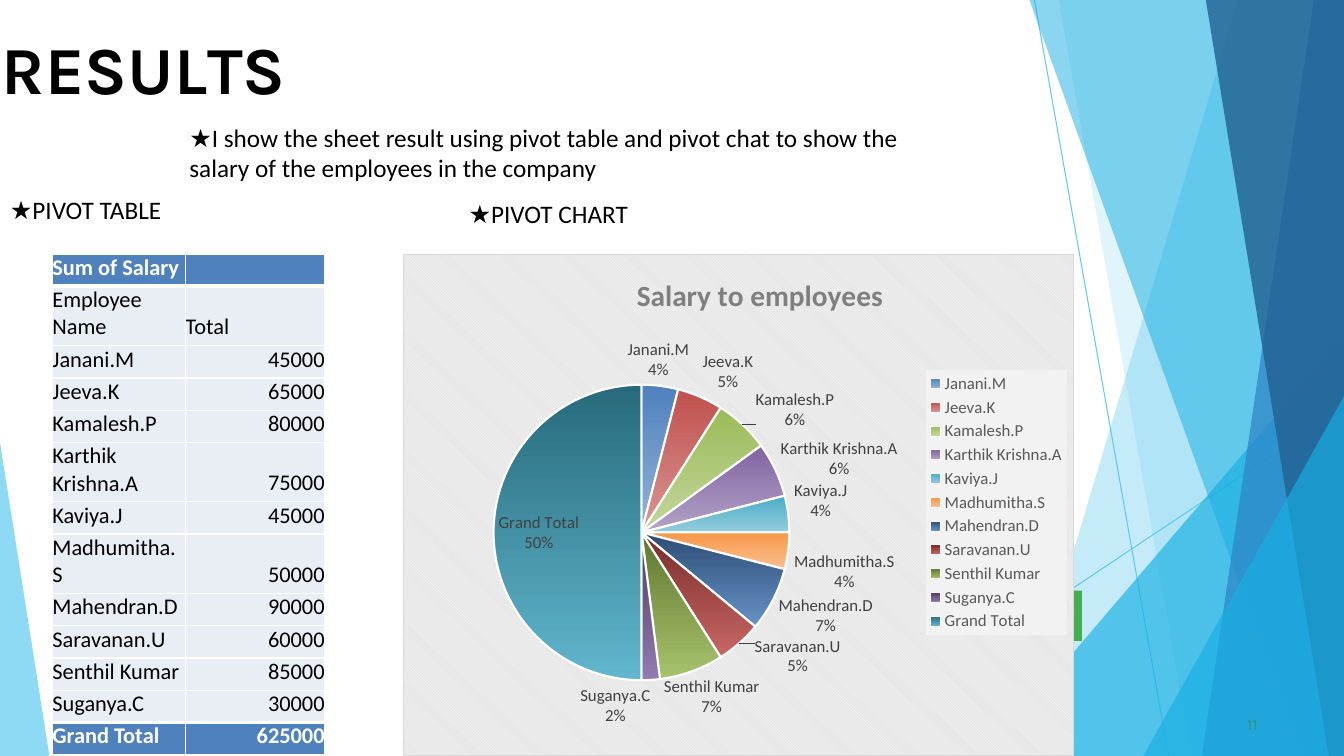
from lxml import etree
from pptx import Presentation
from pptx.chart.data import CategoryChartData
from pptx.dml.color import RGBColor
from pptx.enum import chart as ch, shapes, text
from pptx.oxml import parse_xml
from pptx.oxml.ns import nsdecls, qn
from pptx.util import Inches, Pt

HEX = {"sky": "5FCAEE", "cyan": "17AFE3", "blue": "2D83C3", "navy": "226192",
       "green": "42AF51", "teal": "2D936B", "black": "000000", "white": "FFFFFF",
       "head": "4F81BD", "body": "E9EDF4", "title": "7F7F7F", "label": "404040",
       "key": "595959", "edge": "D9D9D9", "paper": "E6E6E6", "pale": "F2F2F2"}

RAYS = [((10.26, 0), (11.59, 7.5)), ((13.33, 4.04), (8.15, 7.5))]
# Left edge (top, foot) of each band that runs to the right side
BANDS = [("sky", 36, (12.28, 0), 10.04), ("sky", 20, (10.5, 0), 11.82),
         ("cyan", 66, (13.33, 3.33), 9.77), ("cyan", 50, (10.21, 0), 12.91),
         ("blue", 70, (13.03, 0), 11.92), ("navy", 80, (11.96, 0), 13.18),
         ("cyan", 66, (13.33, 3.93), 11.34)]
SQUARE = (10.23, 5.86, 0.5, 0.5)

TITLE = [("R", 0), ("E", -0.4), ("S", 0.1), ("U", -0.3), ("L", -4), ("TS", 0)]
NOTES = [("★PIVOT TABLE", 0, 1.88, 6.65, 0.4),
         ("★PIVOT CHART", 4.55, 1.92, 2.26, 0.4),
         ("★I show the sheet result using pivot table and pivot chat to show the "
          "salary of the employees in the company", 1.78, 1.16, 7.8, 0.71)]

# name, salary, share in percent, gradient
STAFF = [("Janani.M", 45000, 4, "4F81BD", "95B3D7"),
         ("Jeeva.K", 65000, 5, "C0504D", "D99694"),
         ("Kamalesh.P", 80000, 6, "9BBB59", "C3D69B"),
         ("Karthik Krishna.A", 75000, 6, "8064A2", "B3A2C7"),
         ("Kaviya.J", 45000, 4, "4BACC6", "93CDDD"),
         ("Madhumitha.S", 50000, 4, "F79646", "FAC090"),
         ("Mahendran.D", 90000, 7, "2C4D75", "6792C6"),
         ("Saravanan.U", 60000, 5, "772C2A", "C86765"),
         ("Senthil Kumar", 85000, 7, "5F7530", "A7C36C"),
         ("Suganya.C", 30000, 2, "4D3B62", "937BB0"),
         ("Grand Total", 625000, 50, "276A7C", "61B6CD")]
ROWS = [("Sum of Salary", ""), ("Employee Name", "Total")]
ROWS += [(name, str(pay)) for name, pay, *_ in STAFF]
TALL = {"Employee Name", "Karthik Krishna.A", "Madhumitha.S"}


def rgb(name):
    return RGBColor.from_string(HEX.get(name, name))


def style(font, **opts):
    for key, val in opts.items():
        if key == "color":
            font.color.rgb = rgb(val)
        else:
            setattr(font, key, val)


def solid(shape, color, alpha=100):
    shape.shadow.inherit = False
    shape.line.fill.background()
    shape.fill.solid()
    shape.fill.fore_color.rgb = rgb(color)
    if alpha < 100:
        tint = shape.fill._xPr.find(".//" + qn("a:srgbClr"))
        etree.SubElement(tint, qn("a:alpha")).set("val", str(alpha * 1000))


def outline(slide, pts, color, alpha):
    pts = [(Inches(x), Inches(y)) for x, y in pts]
    pen = slide.shapes.build_freeform(*pts[0])
    pen.add_line_segments(pts[1:], close=True)
    solid(pen.convert_to_shape(), color, alpha)


def backdrop(slide):
    for start, end in RAYS:
        ray = slide.shapes.add_connector(
            shapes.MSO_CONNECTOR.STRAIGHT, *map(Inches, start + end))
        ray.line.color.rgb, ray.line.width = rgb("sky"), Pt(0.75)
        etree.SubElement(ray._element.spPr, qn("a:effectLst"))
    for color, alpha, top, foot in BANDS:
        pts = [(13.33, top[1]), top, (foot, 7.5), (13.33, 7.5)]
        outline(slide, pts if top[0] < 13.33 else pts[1:], color, alpha)
    outline(slide, [(0, 4.39), (0, 7.5), (0.49, 7.5)], "sky", 70)
    solid(slide.shapes.add_shape(shapes.MSO_SHAPE.RECTANGLE,
                                 *map(Inches, SQUARE)), "green")


def write(slide, runs, area, tight=False, **font):
    """Add a text box; runs are (text, letter spacing in points)."""
    frame = slide.shapes.add_textbox(*map(Inches, area)).text_frame
    frame.word_wrap = True
    para = frame.paragraphs[0]
    if tight:
        frame.margin_left = frame.margin_right = frame.margin_bottom = 0
        frame.margin_top = Inches(0.01)
        para.space_before = Pt(1)
    for words, gap in runs:
        run = para.add_run()
        run.text = words
        style(run.font, **font)
        if gap:
            run.font._element.set("spc", str(round(gap * 100)))


def border(cell, **widths):
    props = cell._tc.get_or_add_tcPr()
    for side in "LRTB":
        props.append(parse_xml(
            f'<a:ln{side} {nsdecls("a")} w="{Pt(widths.get(side, 1))}"><a:solidFill>'
            f'<a:srgbClr val="{HEX["white"]}"/></a:solidFill></a:ln{side}>'))


def pivot(slide):
    last = len(ROWS) - 1
    grid = slide.shapes.add_table(
        len(ROWS), 2, *map(Inches, (0.52, 2.52, 2.7, 4.97))).table
    for col, wide in zip(grid.columns, (1.32, 1.38)):
        col.width = Inches(wide)
    for i, row in enumerate(ROWS):
        grid.rows[i].height = Inches(0.59 if row[0] in TALL else 0.32)
        bold = i in (0, last)
        for j, words in enumerate(row):
            cell = grid.cell(i, j)
            border(cell, B=3 if i == 0 else 1, T=3 if i == last else 1)
            cell.fill.solid()
            cell.fill.fore_color.rgb = rgb("head" if bold else "body")
            cell.margin_left = cell.margin_right = cell.margin_top = 0
            cell.margin_bottom = Inches(0.05)
            cell.vertical_anchor = text.MSO_ANCHOR.BOTTOM
            para = cell.text_frame.paragraphs[0]
            para.text = words
            if j and i > 1:
                para.alignment = text.PP_ALIGN.RIGHT
            style(para.font, size=Pt(16), name="Calibri", bold=bold,
                  color="white" if bold else "black")


def layout(part, after, inner=False, **box):
    """Place a chart part by fractions of the chart's size."""
    for old in part.findall(qn("c:layout")):
        part.remove(old)
    kind = '<c:layoutTarget val="inner"/>' if inner else ""
    modes = "".join(f'<c:{k}Mode val="edge"/>' for k in "xy")
    sizes = "".join(f'<c:{k} val="{v}"/>' for k, v in box.items())
    node = parse_xml(f'<c:layout {nsdecls("c")}><c:manualLayout>{kind}{modes}{sizes}'
                     '</c:manualLayout></c:layout>')
    part.insert(0 if after is None else part.index(part.find(qn(after))) + 1, node)


def pie(slide):
    data = CategoryChartData()
    data.categories = [row[0] for row in STAFF]
    data.add_series("Series 1", [row[2] for row in STAFF])
    chart = slide.shapes.add_chart(
        ch.XL_CHART_TYPE.PIE, *map(Inches, (4, 2.52, 6.65, 4.98)), data).chart
    style(chart.font, size=Pt(10), name="Calibri", color="black")
    chart.has_title = chart.has_legend = True
    para = chart.chart_title.text_frame.paragraphs[0]
    para.text = "Salary to employees"
    style(para.runs[0].font, size=Pt(21), bold=True, name="Calibri", color="title")
    key = chart.legend
    key.position, key.include_in_layout = ch.XL_LEGEND_POSITION.RIGHT, False
    style(key.font, size=Pt(12), name="Calibri", color="key")

    plot = chart.plots[0]
    plot.vary_by_categories = plot.has_data_labels = True
    tags = plot.data_labels
    for name, val in {"show_percentage": True, "show_category_name": True,
                      "show_value": False, "number_format": "0%",
                      "number_format_is_linked": False,
                      "position": ch.XL_LABEL_POSITION.BEST_FIT}.items():
        setattr(tags, name, val)
    style(tags.font, size=Pt(12), name="Calibri", color="label")
    for i, (*_, dark, light) in enumerate(STAFF):
        look = plot.series[0].points[i].format
        look.fill.gradient()
        look.fill.gradient_angle = 270
        for stop, color in zip(look.fill.gradient_stops, (dark, light)):
            stop.color.rgb = rgb(color)
        look.line.color.rgb, look.line.width = rgb("white"), Pt(1.5)

    root = chart._chartSpace
    layout(chart.chart_title._element, "c:tx", x=0.34, y=0.03)
    layout(key._element, "c:legendPos", x=0.78, y=0.23, w=0.21, h=0.53)
    layout(root.chart.plotArea, None, True, x=0.13, y=0.26, w=0.45, h=0.59)
    space = nsdecls("c", "a")
    key._element.find(qn("c:overlay")).addnext(parse_xml(
        f'<c:spPr {space}><a:solidFill><a:srgbClr val="{HEX["pale"]}"/>'
        '</a:solidFill></c:spPr>'))
    root.chart.addnext(parse_xml(
        f'<c:spPr {space}><a:pattFill prst="dkDnDiag"><a:fgClr><a:srgbClr '
        f'val="{HEX["white"]}"/></a:fgClr><a:bgClr><a:srgbClr val="{HEX["paper"]}"/>'
        f'</a:bgClr></a:pattFill><a:ln w="{Pt(0.75)}"><a:solidFill><a:srgbClr '
        f'val="{HEX["edge"]}"/></a:solidFill></a:ln></c:spPr>'))


def main():
    deck = Presentation()
    deck.slide_width, deck.slide_height = Inches(13.33), Inches(7.5)
    slide = deck.slides.add_slide(deck.slide_layouts[6])
    backdrop(slide)
    write(slide, TITLE, (0.02, 0.26, 3.7, 0.82), True,
          size=Pt(48), name="Karla", bold=True, color="black")
    write(slide, [("11", 0.1)], (12.37, 7.08, 0.21, 0.21), True,
          size=Pt(11), name="Karla", color="teal")
    pie(slide)
    pivot(slide)
    for words, *area in NOTES:
        write(slide, [(words, 0)], area, size=Pt(18), name="Calibri", color="black")
    deck.save("out.pptx")


if __name__ == "__main__":
    main()
